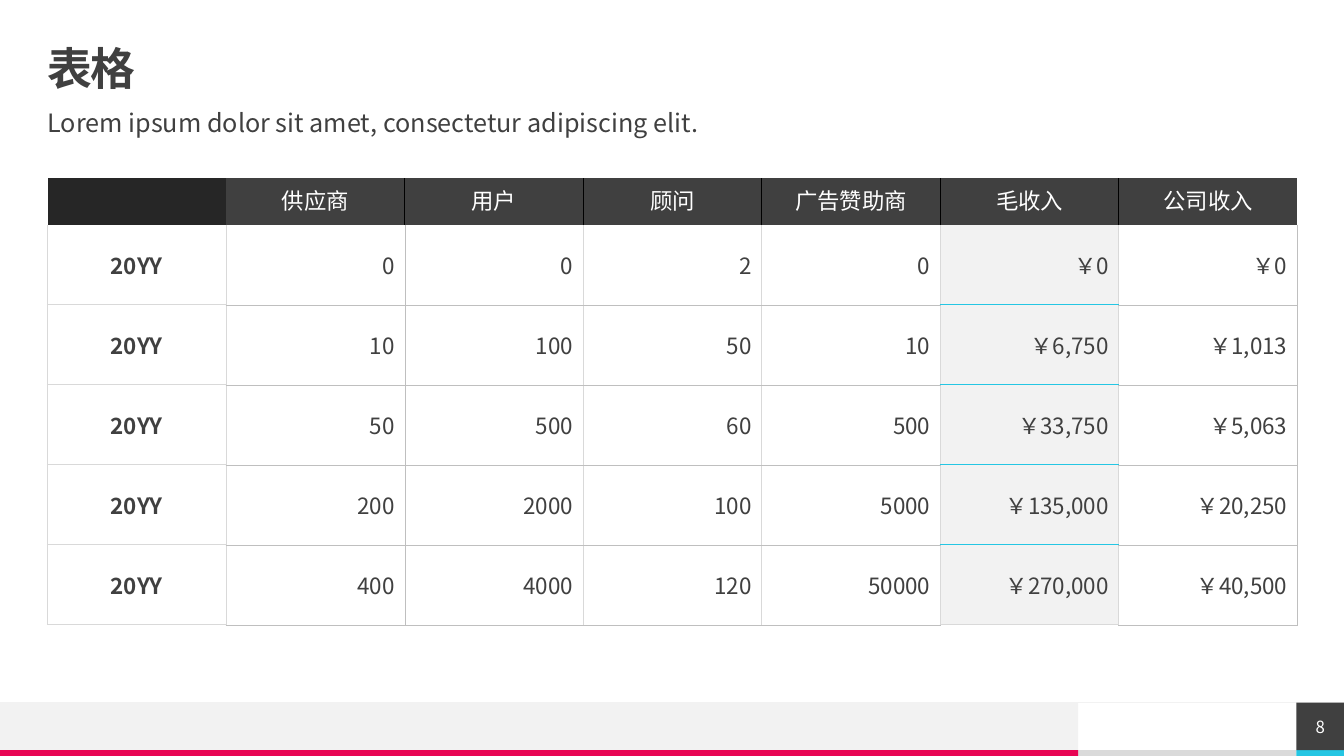
from dataclasses import dataclass

import pptx
import pptx.dml.color
import pptx.enum.shapes
import pptx.enum.text
import pptx.oxml.ns
import pptx.util
from lxml import etree

Pt = pptx.util.Pt
ALIGN = pptx.enum.text.PP_ALIGN
ANCHOR = pptx.enum.text.MSO_ANCHOR
qn = pptx.oxml.ns.qn


@dataclass(frozen=True)
class Theme:
    font: str = "Noto Sans CJK SC"
    ink: str = "404040"
    corner: str = "262626"
    white: str = "FFFFFF"
    black: str = "000000"
    pale: str = "F2F2F2"
    strip: str = "DADADA"
    soft: str = "D9D9D9"
    hair: str = "BFBFBF"
    cyan: str = "25C6E3"
    pink: str = "E80554"
    title_size: float = 32
    subtitle_size: float = 18
    table_size: float = 16
    number_size: float = 12


THEME = Theme()
SOFT = (THEME.soft, 1)
HAIR = (THEME.hair, 0.25)
DARK = (THEME.black, 1)
ACCENT = (THEME.cyan, 1)

SLIDE_W, SLIDE_H = 960, 540
MARGIN = 34
CONTENT_W = 892.8
FOOTER_TOP, STRIP_TOP = 501.8, 535.8
BAR_W, NUMBER_LEFT = 770.2, 926

HEADERS = ["", "供应商", "用户", "顾问", "广告赞助商", "毛收入", "公司收入"]
YEARS = [
    ["20YY", "0", "0", "2", "0", "￥0", "￥0"],
    ["20YY", "10", "100", "50", "10", "￥6,750", "￥1,013"],
    ["20YY", "50", "500", "60", "500", "￥33,750", "￥5,063"],
    ["20YY", "200", "2000", "100", "5000", "￥135,000", "￥20,250"],
    ["20YY", "400", "4000", "120", "50000", "￥270,000", "￥40,500"],
]
GROSS = HEADERS.index("毛收入")
HEADER_H, YEAR_H = 33.3, 57.13
COLUMN_EDGES = [SOFT, SOFT, HAIR, SOFT, SOFT, SOFT, SOFT, HAIR]


def rgb(color):
    return pptx.dml.color.RGBColor.from_string(color)


def write_text(frame, text, size, color=THEME.ink, bold=False, align=ALIGN.LEFT,
               line_spacing=None, space_before=None, tracking=None):
    """Append a formatted run to the frame's first paragraph."""
    paragraph = frame.paragraphs[0]
    paragraph.alignment = align
    if line_spacing is not None:
        paragraph.line_spacing = line_spacing
    if space_before is not None:
        paragraph.space_before = Pt(space_before)
    run = paragraph.add_run()
    run.text = text
    run.font.size = Pt(size)
    run.font.bold = bold
    run.font.name = THEME.font
    run.font.color.rgb = rgb(color)
    properties = run._r.get_or_add_rPr()
    etree.SubElement(properties, qn("a:ea"), typeface=THEME.font)
    if tracking is not None:
        properties.set("spc", str(round(tracking * 100)))


def set_frame(frame, anchor):
    frame.word_wrap = True
    frame.vertical_anchor = anchor
    frame.margin_left = frame.margin_top = Pt(0)
    frame.margin_right = frame.margin_bottom = Pt(0)


def add_text_box(slide, left, top, width, height, anchor):
    box = slide.shapes.add_textbox(Pt(left), Pt(top), Pt(width), Pt(height))
    set_frame(box.text_frame, anchor)
    return box.text_frame


def add_block(slide, left, top, width, height, color):
    block = slide.shapes.add_shape(pptx.enum.shapes.MSO_SHAPE.RECTANGLE,
                                   Pt(left), Pt(top), Pt(width), Pt(height))
    block.shadow.inherit = False
    block.fill.solid()
    block.fill.fore_color.rgb = rgb(color)
    block.line.fill.background()
    return block


def add_rule(slide, top, color, weight):
    rule = slide.shapes.add_connector(pptx.enum.shapes.MSO_CONNECTOR.STRAIGHT,
                                      Pt(SLIDE_W), Pt(top), Pt(0), Pt(top))
    rule.line.color.rgb = rgb(color)
    rule.line.width = Pt(weight)
    etree.SubElement(rule._element.spPr, qn("a:effectLst"))


def style_cell(cell, fill, left=None, right=None, top=None, bottom=None):
    """Set borders, each a (colour, weight) pair or None, and then the fill."""
    properties = cell._tc.get_or_add_tcPr()
    for side, border in zip("LRTB", (left, right, top, bottom)):
        line = etree.SubElement(properties, qn(f"a:ln{side}"))
        if border is None:
            etree.SubElement(line, qn("a:noFill"))
            continue
        color, weight = border
        line.set("w", str(Pt(weight)))
        solid = etree.SubElement(line, qn("a:solidFill"))
        etree.SubElement(solid, qn("a:srgbClr"), val=color)
    if fill is None:
        cell.fill.background()
    else:
        cell.fill.solid()
        cell.fill.fore_color.rgb = rgb(fill)


def fill_header(table):
    last = len(HEADERS) - 1
    for column, label in enumerate(HEADERS):
        cell = table.cell(0, column)
        write_text(cell.text_frame, label, THEME.table_size, THEME.white, align=ALIGN.CENTER)
        style_cell(cell, THEME.ink if label else THEME.corner,
                   left=DARK if column > 1 else None,
                   right=DARK if 0 < column < last else None)


def fill_year(table, row, values):
    is_last = row == len(YEARS)
    for column, value in enumerate(values):
        cell = table.cell(row, column)
        cell.vertical_anchor = ANCHOR.MIDDLE
        is_year = column == 0
        write_text(cell.text_frame, value, THEME.table_size, bold=is_year,
                   align=ALIGN.CENTER if is_year else ALIGN.RIGHT)
        divider = {0: SOFT, GROSS: ACCENT}.get(column, HAIR)
        style_cell(cell, {0: THEME.white, GROSS: THEME.pale}.get(column),
                   left=COLUMN_EDGES[column], right=COLUMN_EDGES[column + 1],
                   top=divider if row > 1 else None,
                   bottom=SOFT if is_last and column == GROSS else divider)


def add_revenue_table(slide):
    table = slide.shapes.add_table(len(YEARS) + 1, len(HEADERS), Pt(MARGIN), Pt(127.4),
                                   Pt(CONTENT_W), Pt(HEADER_H + YEAR_H * len(YEARS))).table
    table.horz_banding = False
    for column in table.columns:
        column.width = Pt(CONTENT_W / len(HEADERS))
    for index, row in enumerate(table.rows):
        row.height = Pt(YEAR_H if index else HEADER_H)
    fill_header(table)
    for row, values in enumerate(YEARS, start=1):
        fill_year(table, row, values)


def add_footer(slide):
    strip_h, bar_h = SLIDE_H - STRIP_TOP, STRIP_TOP - FOOTER_TOP
    number_w = SLIDE_W - NUMBER_LEFT
    add_block(slide, BAR_W, STRIP_TOP, NUMBER_LEFT - BAR_W, strip_h, THEME.strip)
    add_block(slide, 0, FOOTER_TOP, BAR_W, bar_h, THEME.pale)
    add_block(slide, 0, STRIP_TOP, BAR_W, strip_h, THEME.pink)
    add_block(slide, NUMBER_LEFT, STRIP_TOP, number_w, strip_h, THEME.cyan)
    add_rule(slide, FOOTER_TOP, THEME.pale, 0.5)
    number = add_block(slide, NUMBER_LEFT, FOOTER_TOP, number_w, bar_h, THEME.ink).text_frame
    set_frame(number, ANCHOR.MIDDLE)
    write_text(number, "8", THEME.number_size, THEME.white, align=ALIGN.CENTER)


def main():
    deck = pptx.Presentation()
    deck.slide_width, deck.slide_height = Pt(SLIDE_W), Pt(SLIDE_H)
    slide = deck.slides.add_slide(deck.slide_layouts[6])
    add_footer(slide)
    title = add_text_box(slide, MARGIN, 34, CONTENT_W, 34, ANCHOR.MIDDLE)
    write_text(title, "表格", THEME.title_size, bold=True, line_spacing=0.9, tracking=-1.5)
    subtitle = add_text_box(slide, MARGIN, 79, CONTENT_W, 28, ANCHOR.TOP)
    write_text(subtitle, "Lorem ipsum dolor sit amet, consectetur adipiscing elit.",
               THEME.subtitle_size, line_spacing=0.9, space_before=10)
    add_revenue_table(slide)
    deck.save("out.pptx")


if __name__ == "__main__":
    main()
